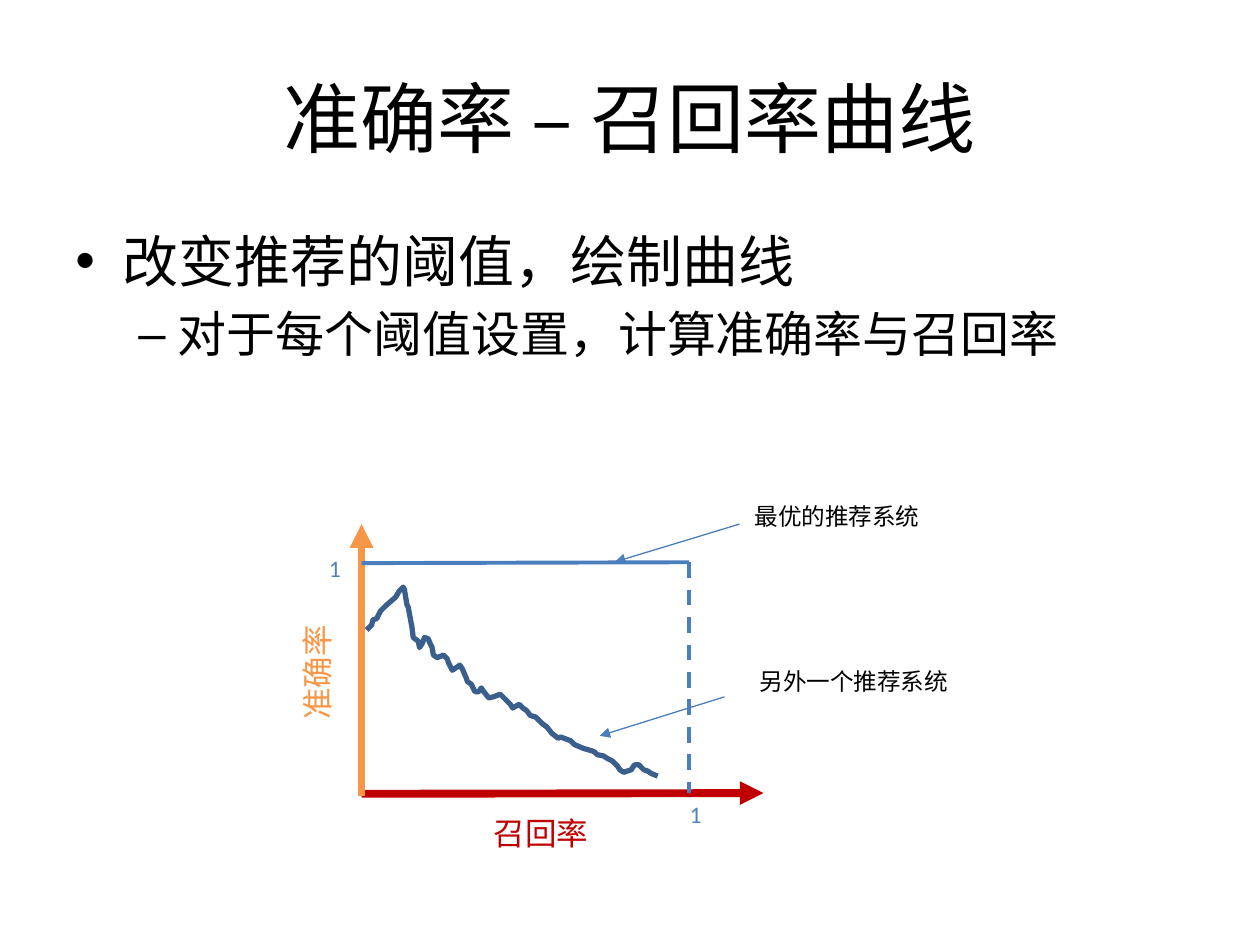
"""Build a slide on the precision-recall curve of a recommender system."""
from lxml.etree import SubElement
from pptx import Presentation
from pptx.dml.color import RGBColor
from pptx.enum.dml import MSO_LINE
from pptx.enum.shapes import MSO_CONNECTOR
from pptx.enum.text import MSO_ANCHOR, PP_ALIGN
from pptx.oxml.ns import qn
from pptx.util import Pt

BLACK = RGBColor(0x00, 0x00, 0x00)
RED = RGBColor(0xC0, 0x00, 0x00)
ORANGE = RGBColor(0xF7, 0x96, 0x46)
BLUE = RGBColor(0x4F, 0x81, 0xBD)
LINE_BLUE = RGBColor(0x4B, 0x7E, 0xBC)
CURVE_BLUE = RGBColor(0x3A, 0x5F, 0x8C)
FONT = "Calibri"

TITLE = "准确率 – 召回率曲线"
BULLETS = [
    {"text": "改变推荐的阈值，绘制曲线", "level": 0, "size": 32, "mark": "•",
     "left": 27, "hang": 27, "before": 0},
    {"text": "对于每个阈值设置，计算准确率与召回率", "level": 1, "size": 28, "mark": "–",
     "left": 58.5, "hang": 22.5, "before": 5.6},
]
LABELS = [
    ("召回率", (275, 461.5, 76.3, 28.8), 18, RED, 0),
    ("准确率", (139.7, 362.2, 83.5, 28.8), 18, ORANGE, 270),
    ("1", (181.4, 313.2, 13.7, 23.8), 13.5, BLUE, 0),
    ("1", (387.4, 453.6, 13.7, 23.8), 13.5, BLUE, 0),
    ("最优的推荐系统", (424.1, 283, 123.1, 23.8), 13.5, BLACK, 0),
    ("另外一个推荐系统", (427, 377.3, 131, 23.8), 13.5, BLACK, 0),
]
ORIGIN_X, AXIS_Y = 206.6, 453.2
LIMIT_X, LIMIT_Y = 393.8, 321.3
LINES = [
    ((ORIGIN_X, 453.6), (436.3, AXIS_Y), RED, 4.5, True, False),
    ((ORIGIN_X, 455), (ORIGIN_X, 299.5), ORANGE, 4.5, True, False),
    ((ORIGIN_X, 321.8), (LIMIT_X, LIMIT_Y), LINE_BLUE, 2.25, False, False),
    ((LIMIT_X, LIMIT_Y), (LIMIT_X, AXIS_Y), LINE_BLUE, 2.25, False, True),
    ((422.6, 299.5), (351.4, 321.1), LINE_BLUE, 0.75, True, False),
    ((414, 398.2), (342.7, 420.5), LINE_BLUE, 0.75, True, False),
]
CURVE_UNIT = Pt(0.72)
CURVE = [
    (291, 500), (295, 496), (296, 492), (299, 491), (302, 485), (306, 481),
    (314, 474), (317, 469), (320, 466), (321, 468), (323, 480), (324, 482),
    (327, 498), (328, 506), (332, 509), (333, 514), (335, 511), (337, 506),
    (340, 507), (341, 510), (343, 514), (344, 520), (347, 522), (352, 520),
    (355, 523), (356, 526), (358, 530), (359, 532), (362, 530), (365, 528),
    (367, 531), (370, 538), (371, 541), (374, 543), (376, 547), (377, 549),
    (380, 549), (382, 546), (384, 549), (388, 554), (392, 553), (397, 551),
    (403, 557), (405, 559), (407, 562), (412, 559), (415, 562), (418, 564),
    (421, 568), (425, 569), (428, 572), (430, 574), (434, 577), (438, 582),
    (443, 586), (445, 585), (453, 588), (456, 591), (463, 594), (470, 596),
    (472, 597), (474, 599), (479, 600), (482, 602), (486, 604), (490, 608),
    (492, 611), (495, 613), (501, 611), (503, 608), (504, 607), (507, 607),
    (511, 611), (514, 612), (517, 614), (522, 616),
]


def add_text_box(page, place):
    """Add an empty wrapping text box."""
    box = page.shapes.add_textbox(*map(Pt, place))
    box.text_frame.word_wrap = True
    return box


def write(para, text, size, color):
    """Write one run of text with its format."""
    span = para.add_run()
    span.text = text
    for name, value in {"name": FONT, "size": Pt(size)}.items():
        setattr(span.font, name, value)
    span.font.color.rgb = color


def add_bullet(para, item):
    """Give a paragraph its bullet mark and hanging indent."""
    para.level = item["level"]
    para.space_before = Pt(item["before"])
    props = para._p.get_or_add_pPr()
    props.set("marL", str(Pt(item["left"])))
    props.set("indent", str(-Pt(item["hang"])))
    SubElement(props, qn("a:buFont"), typeface="Arial")
    SubElement(props, qn("a:buChar"), char=item["mark"])


def add_line(page, start, end, color, width, arrow, dashed):
    """Add a straight line, with an arrowhead or dashes if wanted."""
    line = page.shapes.add_connector(MSO_CONNECTOR.STRAIGHT, *map(Pt, start + end))
    line.line.color.rgb = color
    line.line.width = Pt(width)
    if dashed:
        line.line.dash_style = MSO_LINE.DASH
    if arrow:
        SubElement(line.line._get_or_add_ln(), qn("a:tailEnd"), type="triangle")
    SubElement(line._element.spPr, qn("a:effectLst"))


def add_curve(page):
    """Draw the open precision-recall curve."""
    builder = page.shapes.build_freeform(*CURVE[0], scale=CURVE_UNIT)
    builder.add_line_segments(CURVE[1:], close=False)
    curve = builder.convert_to_shape()
    curve.shadow.inherit = False
    curve.fill.background()
    curve.line.color.rgb = CURVE_BLUE
    curve.line.width = Pt(3)
    SubElement(curve.line._get_or_add_ln(), qn("a:round"))


def main():
    """Build and save the deck."""
    deck = Presentation()
    deck.slide_width, deck.slide_height = Pt(720), Pt(540)
    page = deck.slides.add_slide(deck.slide_layouts[6])

    title = add_text_box(page, (36, 21.6, 648, 90)).text_frame
    title.vertical_anchor = MSO_ANCHOR.MIDDLE
    title.paragraphs[0].alignment = PP_ALIGN.CENTER
    write(title.paragraphs[0], TITLE, 44, BLACK)

    body = add_text_box(page, (36, 126, 648, 356.4)).text_frame
    for index, item in enumerate(BULLETS):
        para = body.add_paragraph() if index else body.paragraphs[0]
        add_bullet(para, item)
        write(para, item["text"], item["size"], BLACK)

    for line in LINES:
        add_line(page, *line)
    add_curve(page)
    for text, place, size, color, turn in LABELS:
        box = add_text_box(page, place)
        box.rotation = turn
        write(box.text_frame.paragraphs[0], text, size, color)

    deck.save("out.pptx")


if __name__ == "__main__":
    main()
